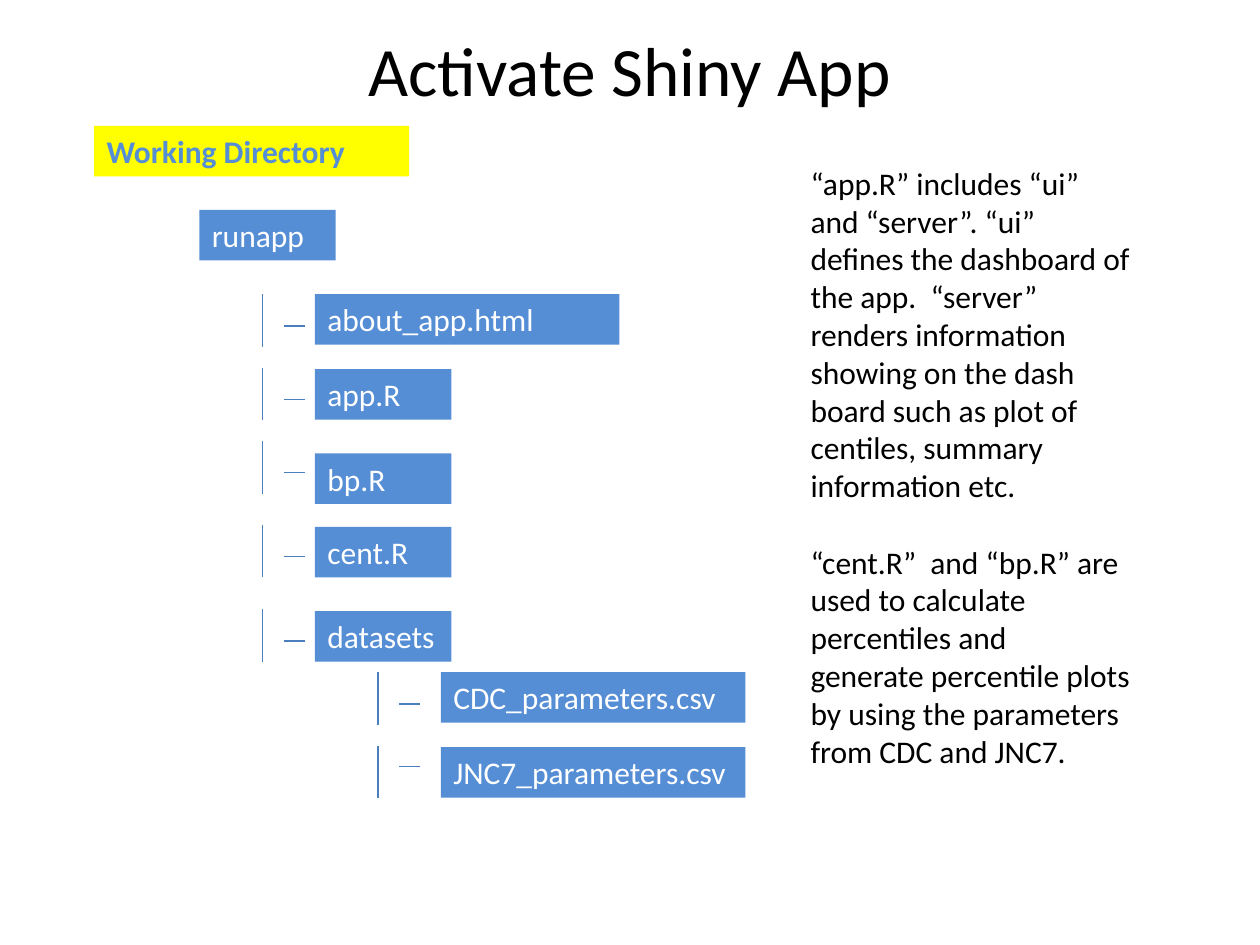
import dataclasses

import lxml.etree
import pptx
import pptx.dml.color
import pptx.enum.shapes
import pptx.enum.text
import pptx.oxml.ns
import pptx.util

Cm = pptx.util.Cm
Pt = pptx.util.Pt


@dataclasses.dataclass(frozen=True)
class Theme:
    font: str = "Calibri"
    title_size: float = 39.6
    body_size: float = 18
    black: str = "000000"
    white: str = "FFFFFF"
    blue: str = "558ED5"
    yellow: str = "FFFF00"
    line: str = "4B7EBC"
    line_width: float = 0.75


THEME = Theme()
BOX_HEIGHT = 1.02
NARROW, WIDE = 2.75, 6.14
STEM_LENGTH = 1.06
DASH_GAP, DASH_LENGTH = 0.43, 0.42

# Each level: stem left, box left
FILES_LEVEL = (5.29, 6.35)
DATASETS_LEVEL = (7.62, 8.89)

# Name, level, stem top, dash drop below the stem top, box top, box width
ENTRIES = [
    ("about_app.html", FILES_LEVEL, 5.93, 0.64, 5.93, WIDE),
    ("app.R", FILES_LEVEL, 7.41, 0.64, 7.44, NARROW),
    ("bp.R", FILES_LEVEL, 8.89, 0.64, 9.14, NARROW),
    ("cent.R", FILES_LEVEL, 10.58, 0.64, 10.62, NARROW),
    ("datasets", FILES_LEVEL, 12.28, 0.64, 12.32, NARROW),
    ("CDC_parameters.csv", DATASETS_LEVEL, 13.55, 0.64, 13.55, WIDE),
    ("JNC7_parameters.csv", DATASETS_LEVEL, 15.03, 0.42, 15.06, WIDE),
]

EXPLANATION = [
    "“app.R” includes “ui” and “server”. “ui” defines the dashboard of the app.  "
    "“server” renders information showing on the dash board such as plot of "
    "centiles, summary information etc.",
    "“cent.R”  and “bp.R” are used to calculate percentiles and  generate "
    "percentile plots by using the parameters from CDC and JNC7.",
]


def rgb(color):
    return pptx.dml.color.RGBColor.from_string(color)


class SlideBuilder:
    def __init__(self, slide, theme):
        self.slide = slide
        self.theme = theme

    def format_paragraph(self, para, color, size=None, bold=False,
                         align=pptx.enum.text.PP_ALIGN.LEFT):
        para.alignment = align
        for span in para.runs:
            span.font.name = self.theme.font
            span.font.size = Pt(size or self.theme.body_size)
            span.font.bold = bold
            span.font.color.rgb = rgb(color)

    def title(self, text, left, top, width, height):
        title = self.slide.shapes.title
        title.left, title.top = Cm(left), Cm(top)
        title.width, title.height = Cm(width), Cm(height)
        frame = title.text_frame
        frame.text = text
        frame.auto_size = pptx.enum.text.MSO_AUTO_SIZE.NONE
        frame.vertical_anchor = pptx.enum.text.MSO_ANCHOR.MIDDLE
        self.format_paragraph(frame.paragraphs[0], self.theme.black,
                              self.theme.title_size,
                              align=pptx.enum.text.PP_ALIGN.CENTER)

    def label(self, text, left, top, width, fill, color, bold=False):
        box = self.slide.shapes.add_shape(
            pptx.enum.shapes.MSO_SHAPE.RECTANGLE,
            Cm(left), Cm(top), Cm(width), Cm(BOX_HEIGHT))
        box.shadow.inherit = False
        box.fill.solid()
        box.fill.fore_color.rgb = rgb(fill)
        box.line.fill.background()
        frame = box.text_frame
        frame.text = text
        frame.word_wrap = True
        frame.vertical_anchor = pptx.enum.text.MSO_ANCHOR.TOP
        self.format_paragraph(frame.paragraphs[0], color, bold=bold)

    def line(self, start_x, start_y, end_x, end_y):
        line = self.slide.shapes.add_connector(
            pptx.enum.shapes.MSO_CONNECTOR.STRAIGHT,
            Cm(start_x), Cm(start_y), Cm(end_x), Cm(end_y))
        line.line.color.rgb = rgb(self.theme.line)
        line.line.width = Pt(self.theme.line_width)
        properties = line._element.spPr
        lxml.etree.SubElement(properties, pptx.oxml.ns.qn("a:effectLst"))

    def tree_entry(self, name, level, stem_top, dash_drop, box_top, width):
        """Draw one file box with its stem and dash."""
        stem_left, box_left = level
        dash_left = stem_left + DASH_GAP
        dash_top = stem_top + dash_drop
        self.line(stem_left, stem_top, stem_left, stem_top + STEM_LENGTH)
        self.line(dash_left, dash_top, dash_left + DASH_LENGTH, dash_top)
        self.label(name, box_left, box_top, width,
                   self.theme.blue, self.theme.white)

    def paragraphs(self, texts, left, top, width, height, gap):
        box = self.slide.shapes.add_textbox(
            Cm(left), Cm(top), Cm(width), Cm(height))
        frame = box.text_frame
        frame.word_wrap = True
        frame.text = "\n".join(texts)
        for para in frame.paragraphs:
            self.format_paragraph(para, self.theme.black)
        for para in frame.paragraphs[1:]:
            para.space_before = Pt(gap)


def main():
    deck = pptx.Presentation()
    deck.slide_width, deck.slide_height = Cm(25.4), Cm(19.05)
    page = deck.slides.add_slide(deck.slide_layouts.get_by_name("Title Only"))
    builder = SlideBuilder(page, THEME)

    builder.title("Activate Shiny App", 6.77, 0.64, 11.85, 1.48)
    builder.label("Working Directory", 1.9, 2.54, 6.35,
                  THEME.yellow, THEME.blue, bold=True)
    builder.label("runapp", 4.02, 4.23, NARROW, THEME.blue, THEME.white)
    for entry in ENTRIES:
        builder.tree_entry(*entry)
    builder.paragraphs(EXPLANATION, 16.09, 3.18, 6.99, 12.57, gap=22)

    deck.save("out.pptx")


if __name__ == "__main__":
    main()
